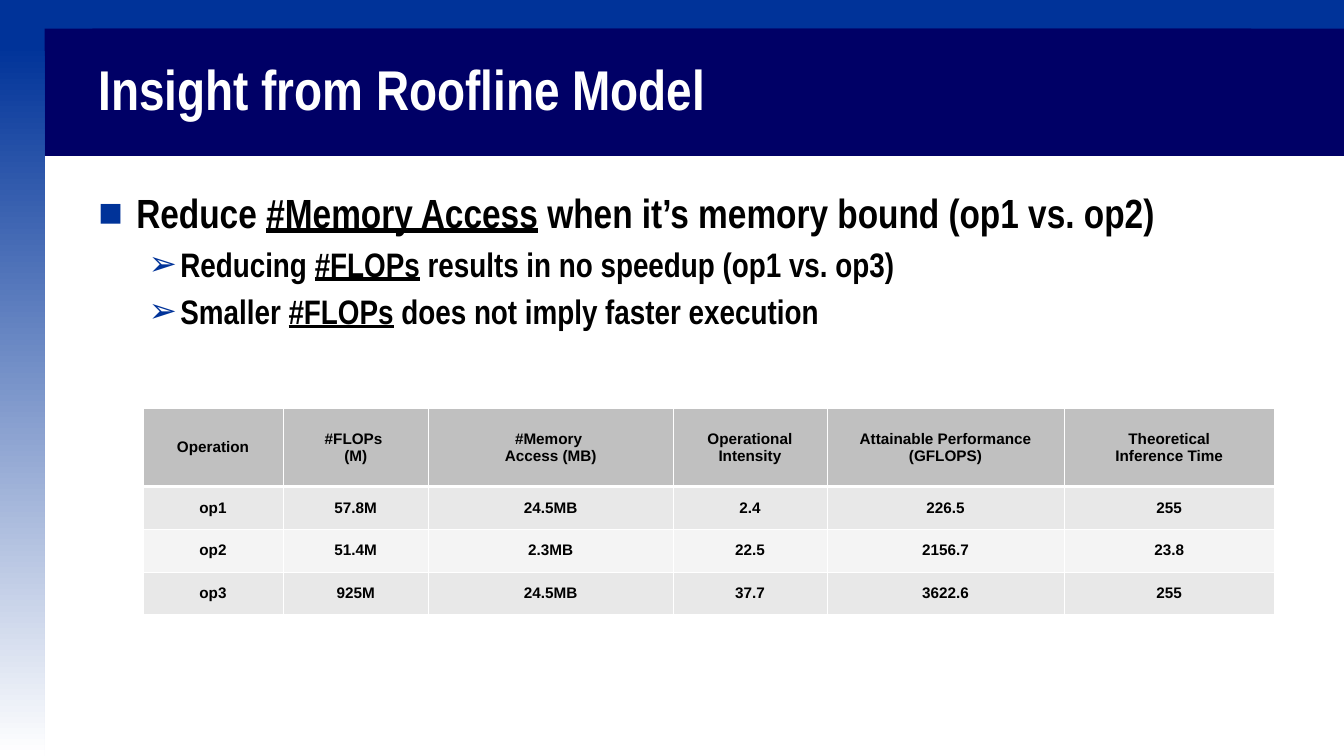
from lxml import etree
from pptx import Presentation
from pptx.dml.color import RGBColor
from pptx.enum.shapes import MSO_SHAPE
from pptx.enum.text import MSO_ANCHOR, MSO_AUTO_SIZE, PP_ALIGN
from pptx.oxml.ns import qn
from pptx.util import Pt

EMU_PER_PX = 9144
RECTANGLE = MSO_SHAPE.RECTANGLE
MIDDLE, TOP = MSO_ANCHOR.MIDDLE, MSO_ANCHOR.TOP
LEFT, CENTER = PP_ALIGN.LEFT, PP_ALIGN.CENTER
NO_AUTOFIT = MSO_AUTO_SIZE.NONE

BLUE = RGBColor(0x00, 0x33, 0x99)
NAVY = RGBColor(0x00, 0x00, 0x66)
WHITE = RGBColor(0xFF, 0xFF, 0xFF)
BLACK = RGBColor(0x00, 0x00, 0x00)
HEADER_GRAY = RGBColor(0xC0, 0xC0, 0xC0)
ROW_GRAYS = (RGBColor(0xE8, 0xE8, 0xE8), RGBColor(0xF4, 0xF4, 0xF4))

HEADING_FONT, TABLE_FONT = "Arial Narrow", "Arial"
LEVELS = (
    {"bullet": "■", "margin": 62, "hanging": 62, "size": 48, "before": 0},
    {"bullet": "➢", "margin": 134, "hanging": 52, "size": 40, "before": 8},
)
INSIGHTS = (
    (0, "Reduce ", "#Memory Access", " when it’s memory bound (op1 vs. op2)"),
    (1, "Reducing ", "#FLOPs", " results in no speedup (op1 vs. op3)"),
    (1, "Smaller ", "#FLOPs", " does not imply faster execution"),
)
HEADERS = (
    ("Operation",),
    ("#FLOPs ", "(M)"),
    ("#Memory \nAccess (MB)",),
    ("Operational Intensity",),
    ("Attainable Performance", "(GFLOPS)"),
    ("Theoretical", "Inference Time"),
)
OPERATIONS = (
    ("op1", "57.8M", "24.5MB", "2.4", "226.5", "255"),
    ("op2", "51.4M", "2.3MB", "22.5", "2156.7", "23.8"),
    ("op3", "925M", "24.5MB", "37.7", "3622.6", "255"),
)
COLUMN_WIDTHS = (229, 238, 400, 252, 388, 344)
ROW_HEIGHTS = (128, 70, 70, 70)


def px(length):
    """Convert px to EMU."""
    return length * EMU_PER_PX


class SlideBuilder:
    """Hold the text style and the current slide."""

    def __init__(self, page):
        """Start on a page."""
        self.page = page

    def span(self, para, text, size, font=HEADING_FONT, color=BLACK, underline=False):
        """Add one bold run."""
        span = para.add_run()
        span.text = text
        span.font.name = font
        span.font.size = Pt(size)
        span.font.bold = True
        span.font.underline = underline
        span.font.color.rgb = color

    def band(self, left, top, width, height, color):
        """Add a plain rectangle without a line."""
        box = self.page.shapes.add_shape(RECTANGLE, px(left), px(top), px(width), px(height))
        box.shadow.inherit = False
        box.line.fill.background()
        box.fill.solid()
        box.fill.fore_color.rgb = color
        return box

    def fading_band(self, left, top, width, height, start, end):
        """Add a rectangle that fades downwards."""
        fill = self.band(left, top, width, height, start).fill
        fill.gradient()
        fill.gradient_angle = 270
        for stop, color, position in zip(fill.gradient_stops, (start, end), (0.06, 1)):
            stop.color.rgb = color
            stop.position = position

    def place(self, box, left, top, width, height, anchor):
        """Move a placeholder to the front and set its frame."""
        box.left, box.top, box.width, box.height = map(px, (left, top, width, height))
        box.element.getparent().append(box.element)
        frame = box.text_frame
        frame.word_wrap = True
        frame.auto_size = NO_AUTOFIT
        frame.vertical_anchor = anchor
        return frame

    def title(self, text, left, top, width, height):
        """Fill the title placeholder."""
        box = self.page.shapes.title
        frame = self.place(box, left, top, width, height, MIDDLE)
        box.fill.solid()
        box.fill.fore_color.rgb = NAVY
        para = frame.paragraphs[0]
        para.alignment = LEFT
        para.line_spacing = 0.9
        self.span(para, text, 66, color=WHITE)

    def bullets(self, items, left, top, width, height):
        """Fill the body placeholder with a two-level list."""
        frame = self.place(self.page.placeholders[1], left, top, width, height, TOP)
        for index, (level, lead, term, rest) in enumerate(items):
            para = frame.add_paragraph() if index else frame.paragraphs[0]
            style = LEVELS[level]
            para.level = level
            para.alignment = LEFT
            para.space_before = Pt(style["before"])
            self.bullet(para, style)
            for text, underline in ((lead, False), (term, True), (rest, False)):
                self.span(para, text, style["size"], underline=underline)

    def bullet(self, para, style):
        """Give a paragraph its indent and coloured bullet."""
        props = para._p.get_or_add_pPr()
        props.set("marL", str(px(style["margin"])))
        props.set("indent", str(-px(style["hanging"])))
        color = etree.SubElement(props, qn("a:buClr"))
        etree.SubElement(color, qn("a:srgbClr"), val=str(BLUE))
        etree.SubElement(props, qn("a:buFont"), typeface=TABLE_FONT)
        etree.SubElement(props, qn("a:buChar"), char=style["bullet"])

    def table(self, left, top, widths, heights, headers, rows):
        """Add a table with a header row and banded rows."""
        grid = self.page.shapes.add_table(
            len(heights), len(widths), px(left), px(top), px(sum(widths)), px(sum(heights))
        ).table
        for column, width in zip(grid.columns, widths):
            column.width = px(width)
        for row, height in zip(grid.rows, heights):
            row.height = px(height)
        for column, lines in enumerate(headers):
            self.cell(grid.cell(0, column), lines, HEADER_GRAY, bottom=3)
        for number, values in enumerate(rows):
            for column, value in enumerate(values):
                self.cell(
                    grid.cell(number + 1, column), (value,), ROW_GRAYS[number % 2],
                    top=1 if number else 3,
                )

    def cell(self, cell, lines, color, top=1, bottom=1):
        """Fill a cell with centred paragraphs and white borders."""
        props = cell._tc.get_or_add_tcPr()
        for side, width in (("L", 1), ("R", 1), ("T", top), ("B", bottom)):
            border = etree.SubElement(props, qn(f"a:ln{side}"), w=str(Pt(width)))
            fill = etree.SubElement(border, qn("a:solidFill"))
            etree.SubElement(fill, qn("a:srgbClr"), val=str(WHITE))
        cell.fill.solid()
        cell.fill.fore_color.rgb = color
        cell.vertical_anchor = MIDDLE
        for index, line in enumerate(lines):
            frame = cell.text_frame
            para = frame.add_paragraph() if index else frame.paragraphs[0]
            para.alignment = CENTER
            for part, text in enumerate(line.split("\n")):
                if part:
                    para.add_line_break()
                self.span(para, text, 18, TABLE_FONT)


def main():
    """Build the slide and save it."""
    deck = Presentation()
    deck.slide_width, deck.slide_height = px(2199), px(1237)
    builder = SlideBuilder(deck.slides.add_slide(deck.slide_layouts[1]))
    builder.band(0, 0, 2199, 130, BLUE)
    builder.band(0, 47, 2199, 208, NAVY)
    builder.fading_band(0, 0, 73, 1237, BLUE, WHITE)
    builder.title("Insight from Roofline Model", 151, 47, 1896, 208)
    builder.bullets(INSIGHTS, 151, 302, 2015, 812)
    builder.table(234, 668, COLUMN_WIDTHS, ROW_HEIGHTS, HEADERS, OPERATIONS)
    deck.save("out.pptx")


if __name__ == "__main__":
    main()
